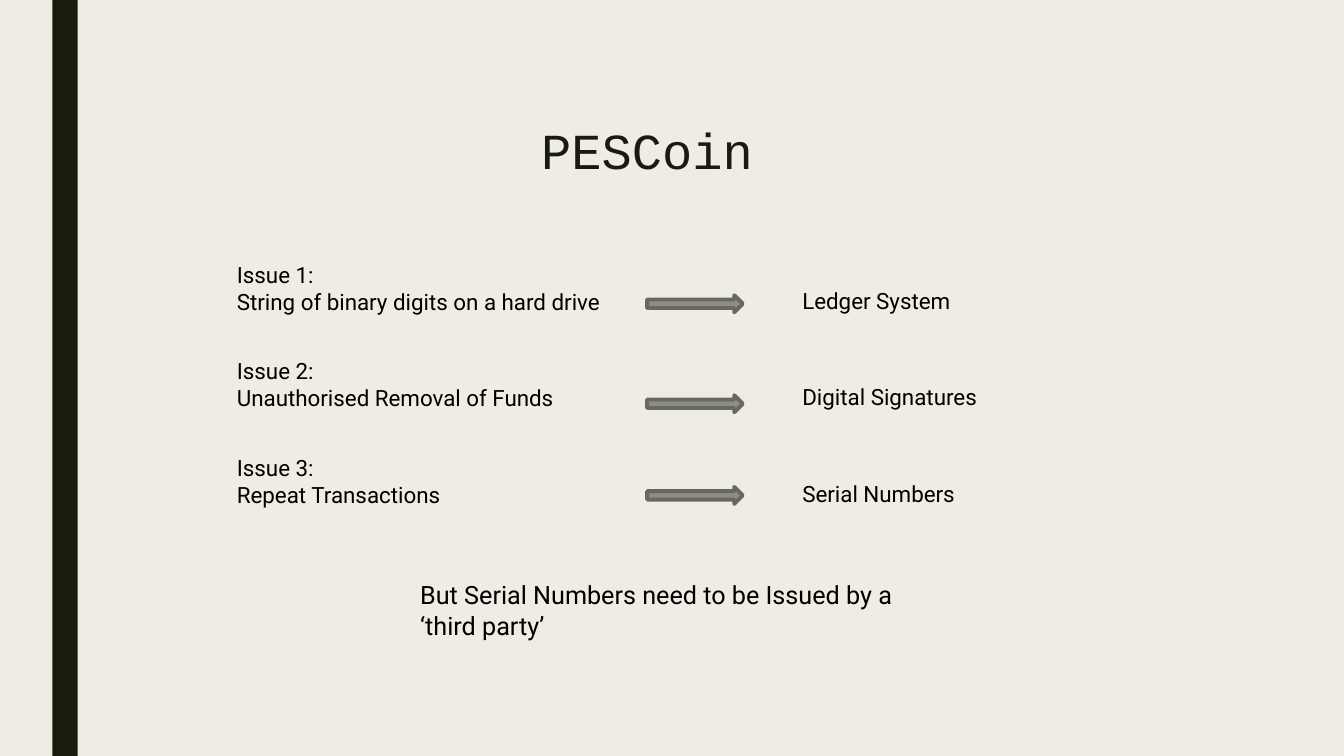
import pptx
import pptx.util
import pptx.dml.color
import pptx.enum.shapes
import pptx.enum.text
from pptx.util import Cm

THEME = {
    "paper": "EFEDE3", "dark": "191B0E", "ink": "000000",
    "arrow": "8C8D86", "edge": "686863",
    "head": {"name": "Courier New", "size": 36},
    "body": {"name": "Roboto", "size": 16},
    "note": {"name": "Roboto", "size": 18},
}
ISSUES = [
    ("Issue 1:", "String of binary digits on a hard drive", "Ledger System", 0.99),
    ("Issue 2:", "Unauthorised Removal of Funds", "Digital Signatures", 1.08),
    ("Issue 3:", "Repeat Transactions", "Serial Numbers", 0.96),
]


def color(key):
    """Return a theme colour."""
    return pptx.dml.color.RGBColor.from_string(THEME[key])


def apply(item, values):
    """Set each attribute of an item from a dict."""
    for name, value in values.items():
        setattr(item, name, value)


def write(slide, box, lines, style, ink="ink", frame=None, para=None):
    """Place a text box with one paragraph per line."""
    text = slide.shapes.add_textbox(*map(Cm, box)).text_frame
    apply(text, {"word_wrap": True, **(frame or {})})
    text.text = "\n".join(lines)
    font = THEME[style]
    for part in text.paragraphs:
        apply(part, para or {})
        apply(part.font, {"name": font["name"], "size": pptx.util.Pt(font["size"])})
        part.font.color.rgb = color(ink)


def block(slide, kind, box, fill, edge=None):
    """Place a filled shape, with an outline if an edge colour is given."""
    shape = slide.shapes.add_shape(kind, *map(Cm, box))
    shape.shadow.inherit = False
    shape.fill.solid()
    shape.fill.fore_color.rgb = color(fill)
    if edge:
        shape.line.color.rgb = color(edge)
        shape.line.width = pptx.util.Pt(2.75)
    else:
        shape.line.fill.background()


def title(slide, box, words):
    """Place the centred slide title."""
    frame = {"vertical_anchor": pptx.enum.text.MSO_ANCHOR.MIDDLE}
    para = {"alignment": pptx.enum.text.PP_ALIGN.CENTER, "line_spacing": 0.89}
    write(slide, box, [words], "head", "dark", frame, para)


def issue(slide, box, label, problem, answer, drop):
    """Place an issue, its arrow and its answer in a row."""
    left, top, width, height = box
    inset = {"margin_left": Cm(0.56)}
    write(slide, (left, top, 10.19, height), [label, problem], "body", frame=inset)
    write(slide, (left + 14.25, top + 0.66, width - 14.25, 0.94), [answer], "body", frame=inset)
    arrow = pptx.enum.shapes.MSO_SHAPE.RIGHT_ARROW
    block(slide, arrow, (left + 10.9, top + drop, 2.41, 0.43), "arrow", "edge")


def build():
    """Build and save the slide."""
    deck = pptx.Presentation()
    apply(deck, {"slide_width": Cm(33.87), "slide_height": Cm(19.05)})
    slide = deck.slides.add_slide(deck.slide_layouts[6])
    slide.background.fill.solid()
    slide.background.fill.fore_color.rgb = color("paper")
    block(slide, pptx.enum.shapes.MSO_SHAPE.RECTANGLE, (1.32, 0, 0.64, 19.05), "dark")
    title(slide, (4.47, 3.07, 23.67, 1.6), "PESCoin")
    for row, entry in enumerate(ISSUES):
        issue(slide, (5.41, 6.45 + 2.43 * row, 19.69, 1.63), *entry)
    closing = "But Serial Numbers need to be Issued by a ‘third party’"
    write(slide, (10.34, 14.48, 12.73, 1.6), [closing], "note")
    deck.save("out.pptx")


if __name__ == "__main__":
    build()
